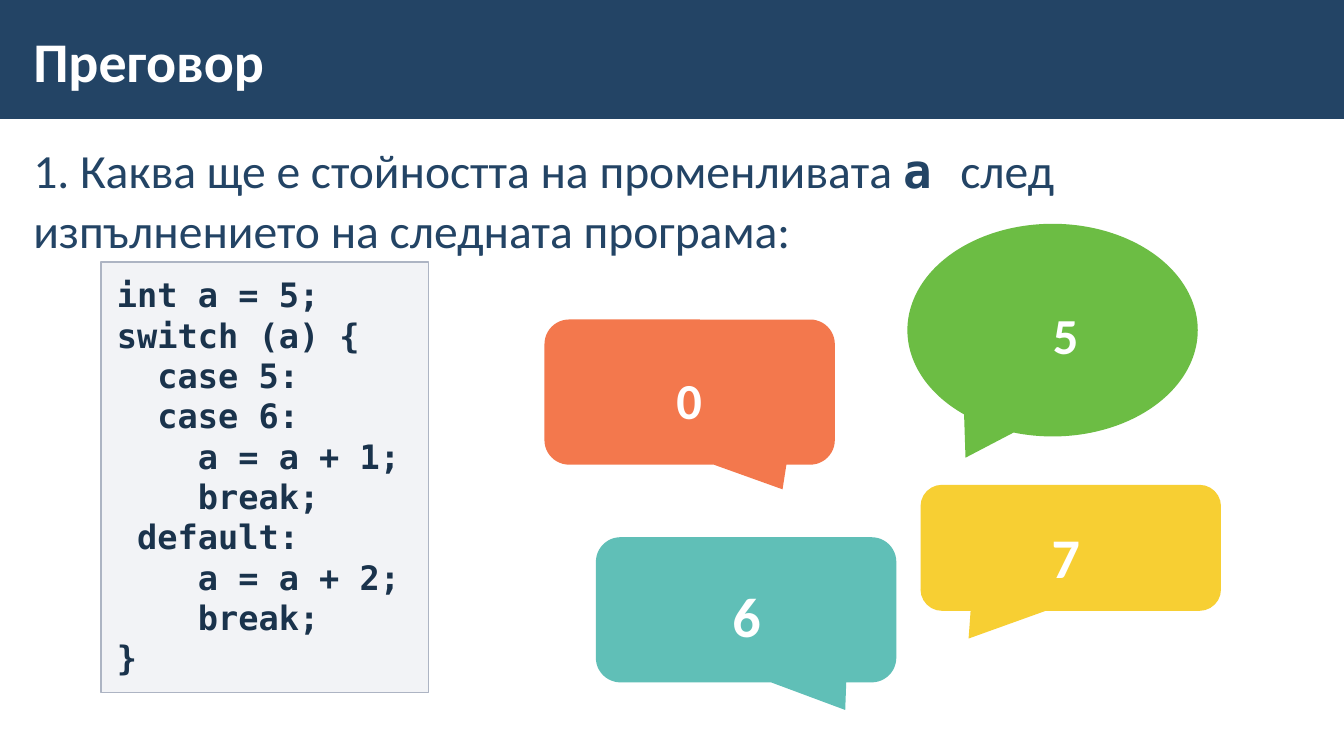
from dataclasses import dataclass

from lxml.etree import SubElement
from pptx import Presentation
from pptx.dml.color import RGBColor as RGB
from pptx.enum.shapes import MSO_SHAPE as SHAPE
from pptx.enum.text import MSO_ANCHOR as ANCHOR, MSO_AUTO_SIZE as FIT, PP_ALIGN as ALIGN
from pptx.oxml.ns import qn
from pptx.util import Emu, Pt

PX = 9144  # 100 px to the inch


@dataclass(frozen=True)
class Theme:
    navy: str = "234465"
    ink: str = "1A334C"
    white: str = "FFFFFF"
    grey: str = "ADB4C3"
    green: str = "6CBD44"
    gold: str = "F5C300"
    orange: str = "F15721"
    teal: str = "60BFB7"
    sans: str = "Calibri"
    mono: str = "DejaVu Sans Mono"
    title: int = 40
    body: int = 34
    code: int = 24


T = Theme()

CODE = """int a = 5;
switch (a) {
  case 5:
  case 6:
    a = a + 1;
    break;
 default:
    a = a + 2;
    break;
}"""

ROUND, OVAL = SHAPE.ROUNDED_RECTANGULAR_CALLOUT, SHAPE.OVAL_CALLOUT
# kind, box, tail and corner, colour, opacity, answer, label box in the bubble, size
BUBBLES = [
    (OVAL, (900, 222, 288, 211), (-0.3, 0.6), T.green, 100, "5", (72, 62, 170, 84), 36),
    (ROUND, (913, 481, 298, 125), (-0.34, 0.72, 0.17), T.gold, 80, "7", (-3, 19, 294, 94), 40),
    (ROUND, (540, 317, 288, 144), (0.32, 0.67, 0.17), T.orange, 80, "0", (98, 31, 91, 87), 36),
    (ROUND, (591, 533, 298, 144), (0.33, 0.69, 0.17), T.teal, 100, "6", (15, 25, 269, 94), 40),
]


def emu(box):
    return [Emu(n * PX) for n in box]


def place(shape, box):
    shape.left, shape.top, shape.width, shape.height = emu(box)


def paint(shape, color, alpha=100):
    """Fill a shape, with its opacity in percent."""
    shape.fill.solid()
    shape.fill.fore_color.rgb = RGB.from_string(color)
    if alpha < 100:
        tint = shape.fill._xPr.find(qn("a:solidFill"))[0]
        SubElement(tint, qn("a:alpha")).set("val", str(alpha * 1000))


def style(run, face, size, color, bold=False):
    font = run.font
    font.name, font.size, font.bold = face, Pt(size), bold
    font.color.rgb = RGB.from_string(color)


def frame(shape, pad, anchor=ANCHOR.TOP):
    """Set wrapping and insets (side, top) and return the text frame."""
    text = shape.text_frame
    text.word_wrap, text.auto_size = True, FIT.NONE
    text.vertical_anchor = anchor
    side, top = emu(pad)
    text.margin_left = text.margin_right = side
    text.margin_top = text.margin_bottom = top
    return text


def plain(para, gap=0, lead=1.0):
    """Drop the bullet and indent, then set the spacing."""
    props = para._p.get_or_add_pPr()
    props.set("marL", "0")
    props.set("indent", "0")
    para.space_before = para.space_after = Pt(gap)
    para.line_spacing = lead
    SubElement(props, qn("a:buNone"))


def header(slide, box):
    x, y, wide, high = box
    band = slide.shapes.add_shape(SHAPE.RECTANGLE, *emu(box))
    band.shadow.inherit = False
    paint(band, T.navy)
    band.line.fill.background()
    slide.shapes._spTree.insert(2, band._element)
    title = slide.shapes.title
    place(title, (x + 21, y + 13, 1039, 97))
    text = frame(title, (12, 4), ANCHOR.MIDDLE)
    text.text = "Преговор"
    para = text.paragraphs[0]
    para.alignment = ALIGN.LEFT
    style(para.runs[0], T.sans, T.title, T.white, True)


def question(holder, box):
    place(holder, box)
    para = frame(holder, (12, 4)).paragraphs[0]
    plain(para, 6, 1.05)
    parts = [("1. Каква ще е стойността на променливата ", False), ("а ", True),
             ("след ", False), ("изпълнението на следната програма:", False)]
    for words, mono in parts:
        if words == parts[-1][0]:
            para.add_line_break()
        run = para.add_run()
        run.text = words
        style(run, T.mono if mono else T.sans, T.body, T.navy, mono)


def listing(holder, box):
    place(holder, box)
    paint(holder, T.grey, 15)
    holder.line.color.rgb = RGB.from_string(T.grey)
    holder.line.width = Pt(1)
    text = frame(holder, (16, 12))
    text.text = CODE
    for para in text.paragraphs:
        plain(para)
        style(para.runs[0], T.mono, T.code, T.ink, True)


def bubble(slide, kind, box, tail, color, alpha, answer, label, size):
    group = slide.shapes.add_group_shape()
    shape = group.shapes.add_shape(kind, *emu(box))
    shape.shadow.inherit = False
    for i, value in enumerate(tail):
        shape.adjustments[i] = value
    paint(shape, color, alpha)
    shape.line.fill.background()
    x, y, wide, high = label
    note = group.shapes.add_textbox(*emu((box[0] + x, box[1] + y, wide, high)))
    text = frame(note, (16, 12))
    text.text = answer
    para = text.paragraphs[0]
    para.alignment, para.line_spacing = ALIGN.CENTER, 1.1
    style(para.runs[0], T.sans, size, T.white, True)


def quiz(deck):
    slide = deck.slides.add_slide(deck.slide_layouts[3])
    body, code = list(slide.placeholders)[1:3]
    header(slide, (0, -2, 1333, 120))
    question(body, (21, 133, 1291, 567))
    listing(code, (100, 260, 325, 427))
    for item in BUBBLES:
        bubble(slide, *item)


def main():
    deck = Presentation()
    deck.slide_width, deck.slide_height = emu((1333, 750))
    quiz(deck)
    deck.save("out.pptx")


if __name__ == "__main__":
    main()
